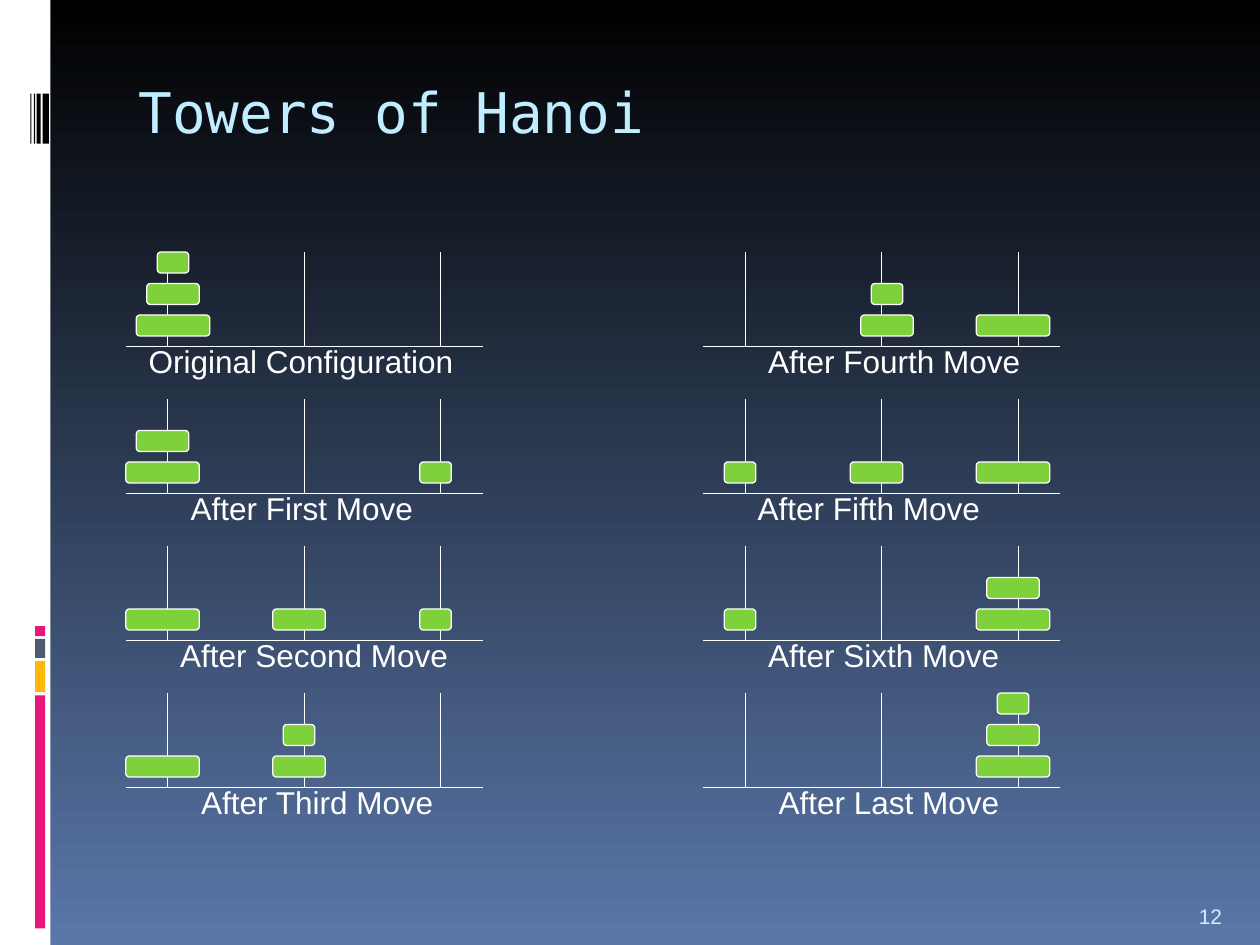
from dataclasses import dataclass

from pptx import Presentation
from pptx.dml.color import RGBColor as RGB
from pptx.enum.shapes import MSO_CONNECTOR as LINK, MSO_SHAPE as SHAPE
from pptx.enum.text import MSO_ANCHOR as ANCHOR, MSO_AUTO_SIZE as AUTO
from pptx.oxml.ns import qn
from pptx.util import Pt
from lxml.etree import SubElement


@dataclass(frozen=True)
class Theme:
    """Colours, fonts and type sizes of the slide."""
    white: str = "FFFFFF"
    black: str = "000000"
    blue: str = "5A77A9"
    pink: str = "EA157A"
    gold: str = "FEB80A"
    slate: str = "4E5B6F"
    green: str = "7FD13B"
    sky: str = "C1EEFF"
    pale: str = "D6ECFF"
    sans: str = "Arial"
    mono: str = "DejaVu Sans Mono"
    head: int = 32
    body: int = 18
    note: int = 12
    rule: float = 0.75


T = Theme()
PEGS = (24, 102, 180)
DISKS = {"L": 42, "M": 30, "S": 18}

# Each stack: peg, disks from the bottom up, offset of the disks from the peg.
PANELS = [
    ("Original Configuration", 6, 189, [(0, "LMS", 3)]),
    ("After First Move", 30, 142, [(0, "LM", -3), (2, "S", -3)]),
    ("After Second Move", 24, 168, [(0, "L", -3), (1, "M", -3), (2, "S", -3)]),
    ("After Third Move", 36, 148, [(0, "L", -3), (1, "MS", -3)]),
    ("After Fourth Move", 30, 159, [(1, "MS", 3), (2, "L", -3)]),
    ("After Fifth Move", 24, 142, [(0, "S", -3), (1, "M", -3), (2, "L", -3)]),
    ("After Sixth Move", 30, 147, [(0, "S", -3), (2, "LM", -3)]),
    ("After Last Move", 36, 141, [(2, "LMS", -3)]),
]


def block(slide, kind, box, fill, edge=None):
    """Draw a filled shape in a box, with an outline if an edge colour is given."""
    shape = slide.shapes.add_shape(kind, *map(Pt, box))
    shape.shadow.inherit = False
    shape.fill.solid()
    shape.fill.fore_color.rgb = RGB.from_string(fill)
    if edge:
        shape.line.color.rgb = RGB.from_string(edge)
        shape.line.width = Pt(T.rule)
    else:
        shape.line.fill.background()


def rule(slide, *ends):
    """Draw a thin white line between two points."""
    line = slide.shapes.add_connector(LINK.STRAIGHT, *map(Pt, ends))
    line.line.color.rgb = RGB.from_string(T.white)
    line.line.width = Pt(T.rule)
    SubElement(line._element.spPr, qn("a:effectLst"))


def label(slide, box, text, size, face, color, **form):
    """Place one line of text in a box, with the given frame format."""
    frame = slide.shapes.add_textbox(*map(Pt, box)).text_frame
    for name, value in {"word_wrap": True, **form}.items():
        setattr(frame, name, value)
    run = frame.paragraphs[0].add_run()
    run.text = text
    for name, value in {"size": Pt(size), "name": face}.items():
        setattr(run.font, name, value)
    run.font.color.rgb = RGB.from_string(color)


def back(slide):
    """Fill the background with a gradient from top to bottom."""
    fill = slide.background.fill
    fill.gradient()
    fill.gradient_angle = 270
    for stop, place, color in zip(fill.gradient_stops, (0, 1), (T.black, T.blue)):
        stop.position = place
        stop.color.rgb = RGB.from_string(color)


def side(slide, left, top, width, height):
    """Draw the white side strip with its coloured and black bars."""
    block(slide, SHAPE.RECTANGLE, (left, top, width, height), T.white)
    for y, tall, color in ((397.4, 133.1, T.pink), (377.7, 17.9, T.gold),
                           (365.1, 10.9, T.slate), (357.8, 5.7, T.pink)):
        block(slide, SHAPE.RECTANGLE, (left + 20, top + y, 5.8, tall), color)
    for x, wide in ((24.4, 3.6), (20.9, 2.3), (19.4, 0.8), (17.4, 0.6)):
        block(slide, SHAPE.RECTANGLE, (left + x, top + 53.5, wide, 28.7), T.black)


def panel(slide, left, top, width, height, text, shift, wide, stacks):
    """Draw one state of the towers: base, pegs, disks and caption."""
    base = top + height
    rule(slide, left, base, left + width, base)
    for peg in PEGS:
        rule(slide, left + peg, base, left + peg, top)
    for peg, disks, nudge in stacks:
        mid = left + PEGS[peg] + nudge
        for level, disk in enumerate(disks):
            size = DISKS[disk]
            box = (mid - size / 2, base - 18 * (level + 1), size, 12)
            block(slide, SHAPE.ROUNDED_RECTANGLE, box, T.green, T.white)
    label(slide, (left + shift, base - 6, wide, 28.8), text, T.body, T.sans,
          T.white, word_wrap=False, auto_size=AUTO.SHAPE_TO_FIT_TEXT)


def main():
    """Build the slide and save it."""
    deck = Presentation()
    deck.slide_width, deck.slide_height = Pt(720), Pt(540)
    slide = deck.slides.add_slide(deck.slide_layouts[6])
    back(slide)
    side(slide, 0, 0, 28.8, 540)
    label(slide, (72, 40.5, 612, 72), "Towers of Hanoi", T.head, T.mono, T.sky)
    label(slide, (678, 505.2, 36, 28.8), "12", T.note, T.sans, T.pale,
          vertical_anchor=ANCHOR.BOTTOM)
    for index, state in enumerate(PANELS):
        col, row = divmod(index, 4)
        panel(slide, 71.9 + 330 * col, 144 + 84 * row, 204, 54, *state)
    deck.save("out.pptx")


if __name__ == "__main__":
    main()
